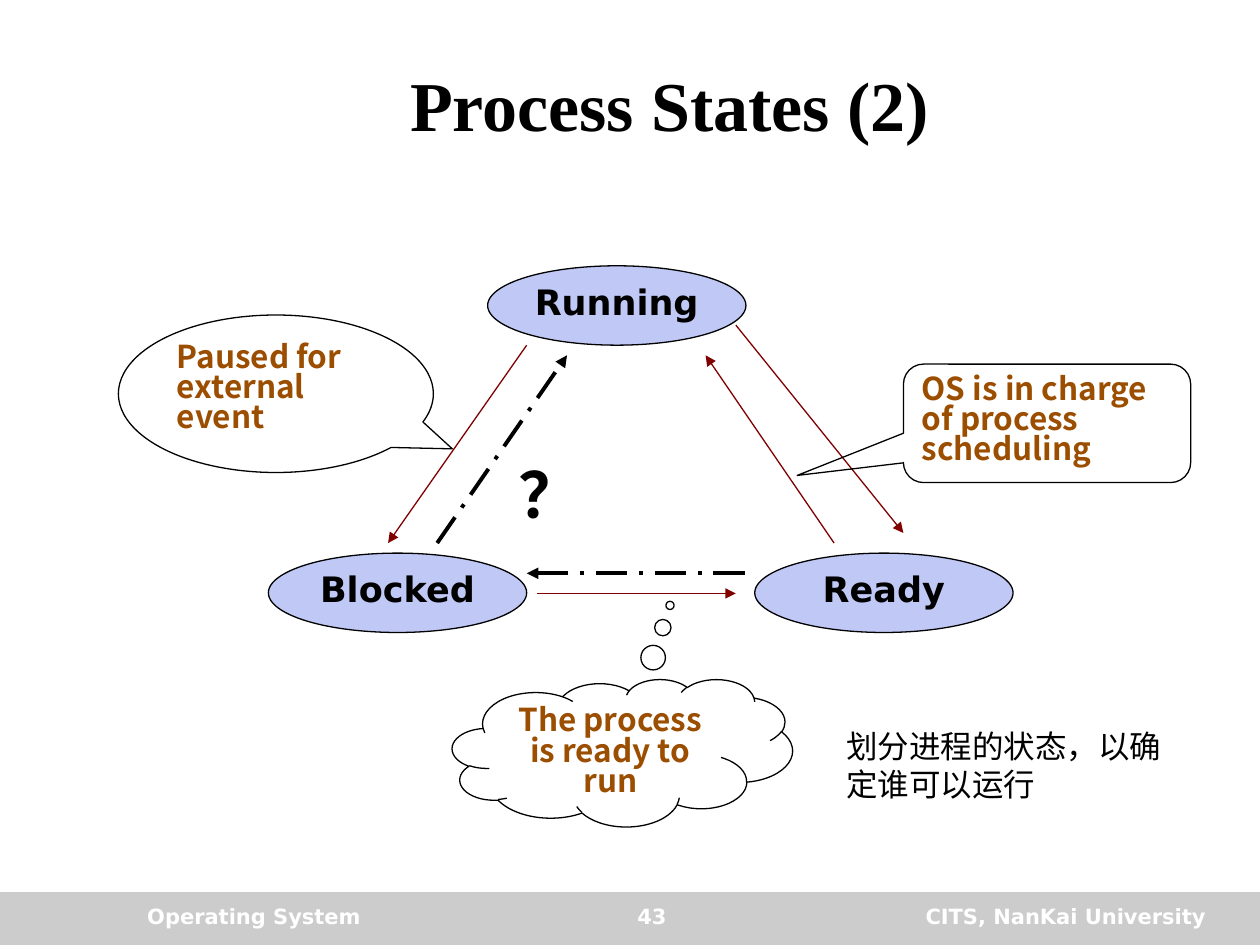
from typing import NamedTuple, Optional

import pptx
import pptx.dml.color
import pptx.enum.dml
import pptx.enum.shapes
import pptx.enum.text
import pptx.oxml
import pptx.oxml.ns
import pptx.util

RGBColor = pptx.dml.color.RGBColor
Inches = pptx.util.Inches
Pt = pptx.util.Pt
SHAPE = pptx.enum.shapes.MSO_SHAPE
ALIGN = pptx.enum.text.PP_ALIGN
ANCHOR = pptx.enum.text.MSO_ANCHOR

BLACK = RGBColor(0x00, 0x00, 0x00)
WHITE = RGBColor(0xFF, 0xFF, 0xFF)
GREY = RGBColor(0xCC, 0xCC, 0xCC)
LILAC = RGBColor(0xC0, 0xC9, 0xF6)
MAROON = RGBColor(0x80, 0x00, 0x00)
BROWN = RGBColor(0x9C, 0x4E, 0x00)

SANS = "DejaVu Sans"
CJK = "Noto Sans CJK SC"
SERIF = "Times New Roman"


class Box(NamedTuple):
    left: float
    top: float
    width: float
    height: float


class Style(NamedTuple):
    size: float
    font: str = SANS
    color: RGBColor = BLACK
    bold: bool = True
    align: ALIGN = ALIGN.LEFT
    spacing: Optional[float] = None
    anchor: ANCHOR = ANCHOR.TOP
    wrap: bool = True


class State(NamedTuple):
    name: str
    left: float
    top: float


class Callout(NamedTuple):
    text: str
    kind: SHAPE
    box: Box
    adjustments: tuple
    align: ALIGN = ALIGN.LEFT


class Label(NamedTuple):
    text: str
    box: Box
    style: Style


class Arrow(NamedTuple):
    start: tuple
    end: tuple
    possible: bool = True


FOOTER = Style(12, color=WHITE)
STATE_STYLE = Style(20, align=ALIGN.CENTER, spacing=0.8, anchor=ANCHOR.MIDDLE, wrap=False)
CALLOUT_STYLE = Style(18, CJK, BROWN, spacing=0.8)

STATES = [
    State("Running", 3.87, 2.11),
    State("Blocked", 2.13, 4.39),
    State("Ready", 5.99, 4.39),
]
CALLOUTS = [
    Callout("The process is ready to run", SHAPE.CLOUD_CALLOUT,
            Box(3.59, 5.39, 2.7, 1.17), (0.14, -1.0), ALIGN.CENTER),
    Callout("Paused for external event", SHAPE.OVAL_CALLOUT,
            Box(0.94, 2.5, 2.5, 1.25), (0.56, 0.35)),
    Callout("OS is in charge of process scheduling", SHAPE.ROUNDED_RECTANGULAR_CALLOUT,
            Box(7.17, 2.89, 2.28, 0.94), (-0.87, 0.44, 0.17)),
]
ARROWS = [
    Arrow((4.18, 2.74), (3.08, 4.31)),
    Arrow((5.84, 2.58), (7.17, 4.23)),
    Arrow((4.26, 4.71), (5.84, 4.71)),
    Arrow((6.62, 4.31), (5.6, 2.82)),
    Arrow((3.47, 4.31), (4.5, 2.82), possible=False),
    Arrow((5.91, 4.55), (4.18, 4.55), possible=False),
]
LABELS = [
    Label("Process States (2)", Box(1.06, 0.33, 8.51, 0.98),
          Style(40, SERIF, align=ALIGN.CENTER, anchor=ANCHOR.MIDDLE)),
    Label("Operating System", Box(1.07, 7.12, 2.75, 0.33), FOOTER),
    Label("CITS, NanKai University", Box(6.5, 7.12, 3.17, 0.33),
          FOOTER._replace(align=ALIGN.RIGHT)),
    Label("43", Box(4.01, 7.12, 2.33, 0.33), FOOTER._replace(align=ALIGN.CENTER)),
    Label("？", Box(4.02, 3.68, 0.55, 0.59), Style(36, spacing=0.8)),
    Label("划分进程的状态，以确定谁可以运行", Box(6.62, 5.72, 2.94, 0.71),
          Style(18, bold=False)),
]


def write(sp, text: str, style: Style) -> None:
    tf = sp.text_frame
    tf.word_wrap = style.wrap
    tf.vertical_anchor = style.anchor
    p = tf.paragraphs[0]
    p.text = text
    p.alignment = style.align
    if style.spacing:
        p.line_spacing = style.spacing
    p.font.name = style.font
    p.font.size = Pt(style.size)
    p.font.bold = style.bold
    p.font.color.rgb = style.color


def add_shape(s, kind: SHAPE, box: Box, fill: Optional[RGBColor] = None,
              line: Optional[RGBColor] = BLACK):
    sp = s.shapes.add_shape(kind, *map(Inches, box))
    sp.shadow.inherit = False
    if fill is None:
        sp.fill.background()
    else:
        sp.fill.solid()
        sp.fill.fore_color.rgb = fill
    if line is None:
        sp.line.fill.background()
    else:
        sp.line.color.rgb = line
        sp.line.width = Pt(0.75)
    return sp


def add_label(s, label: Label) -> None:
    sp = s.shapes.add_textbox(*map(Inches, label.box))
    write(sp, label.text, label.style)


def add_state(s, state: State) -> None:
    sp = add_shape(s, SHAPE.OVAL, Box(state.left, state.top, 2.05, 0.63), LILAC)
    write(sp, state.name, STATE_STYLE)


def add_callout(s, callout: Callout) -> None:
    sp = add_shape(s, callout.kind, callout.box)
    for i, value in enumerate(callout.adjustments):
        sp.adjustments[i] = value
    write(sp, callout.text, CALLOUT_STYLE._replace(align=callout.align))


def add_arrow(s, arrow: Arrow) -> None:
    line = s.shapes.add_connector(pptx.enum.shapes.MSO_CONNECTOR.STRAIGHT,
                                  *map(Inches, arrow.start + arrow.end))
    line.line.color.rgb = MAROON if arrow.possible else BLACK
    line.line.width = Pt(0.75 if arrow.possible else 2.25)
    if not arrow.possible:
        line.line.dash_style = pptx.enum.dml.MSO_LINE.LONG_DASH_DOT
    tail = pptx.oxml.parse_xml(
        f'<a:tailEnd {pptx.oxml.ns.nsdecls("a")} type="triangle"/>')
    line.line._get_or_add_ln().append(tail)
    line._element.spPr.append(
        pptx.oxml.parse_xml(f'<a:effectLst {pptx.oxml.ns.nsdecls("a")}/>'))


def main() -> None:
    prs = pptx.Presentation()
    prs.slide_width, prs.slide_height = Inches(10), Inches(7.5)
    s = prs.slides.add_slide(prs.slide_layouts[6])

    # Footer band
    add_shape(s, SHAPE.RECTANGLE, Box(0, 7.08, 10, 0.42), GREY, line=None)

    # State diagram
    for state in STATES:
        add_state(s, state)
    for arrow in ARROWS:
        add_arrow(s, arrow)
    for callout in CALLOUTS:
        add_callout(s, callout)

    # Title, footer texts and remarks
    for label in LABELS:
        add_label(s, label)

    prs.save("out.pptx")


if __name__ == "__main__":
    main()
